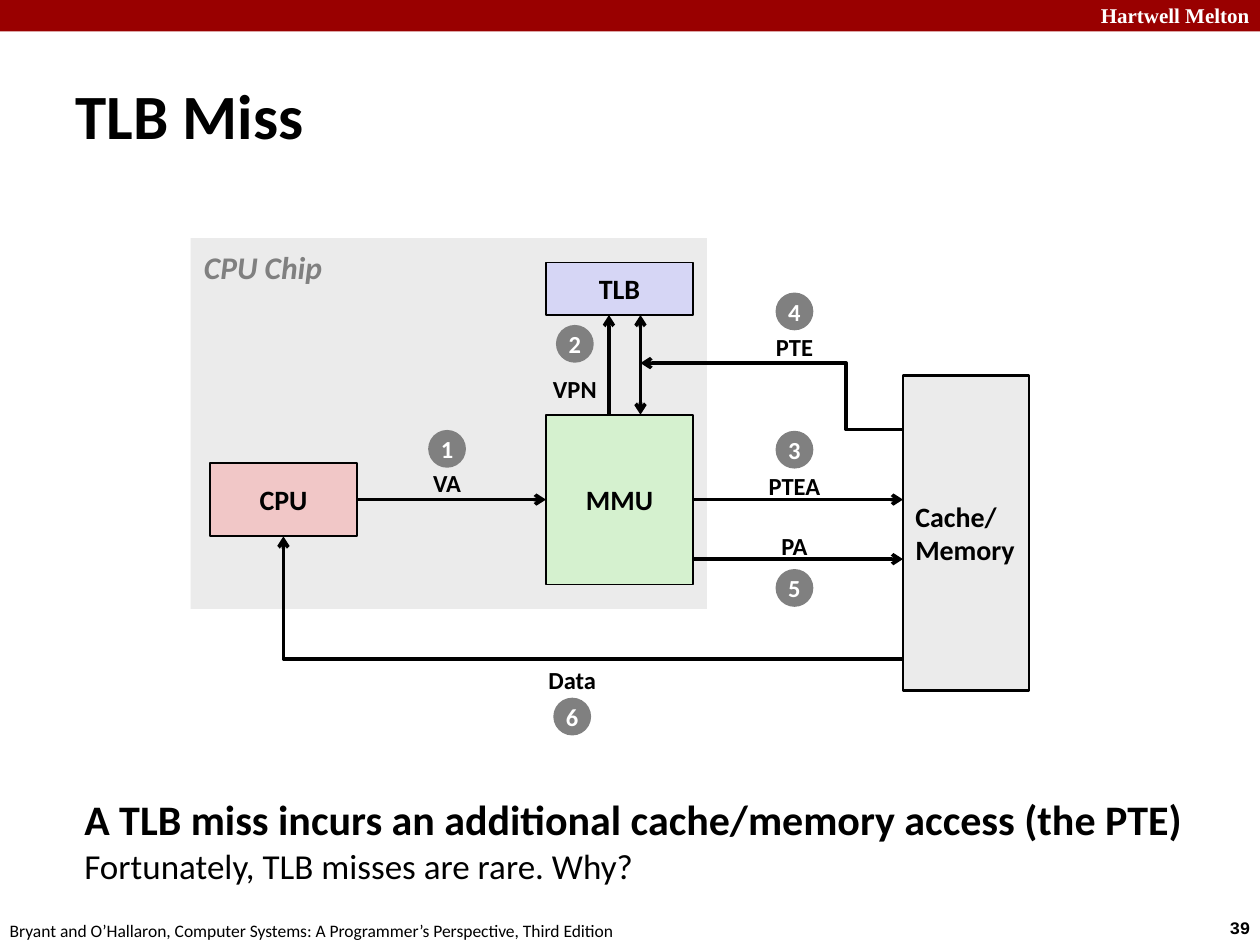
from lxml import etree
from pptx import Presentation
from pptx.dml.color import RGBColor
from pptx.enum.shapes import MSO_CONNECTOR, MSO_SHAPE
from pptx.enum.text import MSO_ANCHOR, MSO_AUTO_SIZE, PP_ALIGN
from pptx.oxml.ns import qn
from pptx.util import Pt

RECT, OVAL = MSO_SHAPE.RECTANGLE, MSO_SHAPE.OVAL
LINE, BENT = MSO_CONNECTOR.STRAIGHT, MSO_CONNECTOR.ELBOW
LEFT, MID = PP_ALIGN.LEFT, PP_ALIGN.CENTER
TOP, CENTER = MSO_ANCHOR.TOP, MSO_ANCHOR.MIDDLE
FIXED = MSO_AUTO_SIZE.NONE

INK = {
    "black": "000000", "white": "FFFFFF", "red": "990000", "gray": "808080",
    "pale": "EBEBEB", "green": "D5F1CF", "pink": "F1C7C7", "blue": "D6D6F5",
}

TITLE = "TLB Miss"
BODY = [
    ("A TLB miss incurs an additional cache/memory access (the PTE)", 24, True),
    ("Fortunately, TLB misses are rare. Why?", 20, False),
]
BAND = (0, 0, 720, 18)
CHIP = (109, 136, 295, 212)
UNITS = {
    "TLB": (312, 150, 84, 30, "blue", 1, MID),
    "MMU": (312, 237, 84, 97, "green", 1, MID),
    "CPU": (120, 264.5, 84, 42, "pink", 1, MID),
    "Cache/\nMemory": (516, 214.5, 72, 180, "pale", 1.5, LEFT),
}
STEPS = [
    ("1", "VA", 255.5, 256.5, 276),
    ("2", "VPN", 328.5, 196.5, 222),
    ("3", "PTEA", 454, 257, 277.5),
    ("4", "PTE", 454, 178, 198),
    ("5", "PA", 454, 336, 312),
    ("6", "Data", 327, 409.5, 388.5),
]
NOTES = [
    ("Hartwell Melton", (622, -2, 103, 21.5),
     dict(size=12, font="Times New Roman", color="white", bold=True)),
    ("39", (695.5, 520.5, 32.5, 19.5),
     dict(size=10, font="Courier New", bold=True)),
    ("Bryant and O’Hallaron, Computer Systems: A Programmer’s Perspective, "
     "Third Edition", (-1.5, 522, 366, 19.5), dict(size=10)),
    ("CPU Chip", (109.5, 138, 83.5, 29),
     dict(size=18, color="gray", bold=True, slant=True)),
]
DOT = 21.6
TAG = (44, 24)


def tint(name):
    return RGBColor.from_string(INK[name])


def write(frame, text, size=14, font="Calibri", color="black", bold=False,
          slant=False, align=LEFT, anchor=TOP, wrap=False):
    frame.word_wrap = wrap
    frame.auto_size = FIXED
    frame.vertical_anchor = anchor
    frame.text = text
    for para in frame.paragraphs:
        para.alignment = align
        para.space_before = Pt(0)
        for run in para.runs:
            face = run.font
            face.name, face.size = font, Pt(size)
            face.bold, face.italic = bold, slant
            face.color.rgb = tint(color)


def block(kind, area, fill, edge=0):
    shape = slide.shapes.add_shape(kind, *map(Pt, area))
    shape.shadow.inherit = False
    shape.fill.solid()
    shape.fill.fore_color.rgb = tint(fill)
    if edge:
        shape.line.color.rgb = tint("black")
        shape.line.width = Pt(edge)
    else:
        shape.line.fill.background()
    return shape


def label(text, area, **form):
    box = slide.shapes.add_textbox(*map(Pt, area))
    write(box.text_frame, text, **form)


def place(holder, area):
    holder.left, holder.top, holder.width, holder.height = map(Pt, area)


def arrow(start, stop, kind=LINE, both=False):
    wire = slide.shapes.add_connector(kind, *map(Pt, start + stop))
    wire.line.color.rgb = tint("black")
    wire.line.width = Pt(2)
    props = wire.line._get_or_add_ln()
    for end in (("headEnd", "tailEnd") if both else ("tailEnd",)):
        etree.SubElement(props, qn("a:" + end), type="arrow")
    etree.SubElement(wire._element.spPr, qn("a:effectLst"))
    return wire._element.spPr.find(qn("a:prstGeom"))


deck = Presentation()
deck.slide_width, deck.slide_height = Pt(720), Pt(540)
slide = deck.slides.add_slide(deck.slide_layouts[1])

block(RECT, BAND, "red")
block(RECT, CHIP, "pale")
for text, area, form in NOTES:
    label(text, area, **form)

place(slide.shapes.title, (36, 34.5, 686, 62))
write(slide.shapes.title.text_frame, TITLE, size=36, bold=True,
      anchor=CENTER, wrap=True)

body = slide.placeholders[1]
place(body, (41, 450, 649.5, 72))
write(body.text_frame, "\n".join(row[0] for row in BODY), wrap=True)
for para, (text, size, bold) in zip(body.text_frame.paragraphs, BODY):
    para.runs[0].font.size = Pt(size)
    para.runs[0].font.bold = bold
    props = para._p.get_or_add_pPr()
    props.set("marL", "0")
    props.set("indent", "0")
    etree.SubElement(props, qn("a:buNone"))

for name, (x, y, w, h, fill, edge, align) in UNITS.items():
    unit = block(RECT, (x, y, w, h), fill, edge)
    write(unit.text_frame, name, size=16, bold=True, align=align, anchor=CENTER)

tlb, mmu, cpu, mem = (area[:4] for area in UNITS.values())
row = cpu[1] + cpu[3] / 2
low = tlb[1] + tlb[3]
right = mmu[0] + mmu[2]
arrow((cpu[0] + cpu[2], row), (mmu[0], row))
arrow((right, row), (mem[0], row))
arrow((right, 319.5), (mem[0], 319.5))
arrow((348, mmu[1]), (348, low))
arrow((366, low), (366, mmu[1]), both=True)

bend = arrow((mem[0], 245.5), (366, 207.5), BENT)
guides = bend.find(qn("a:avLst"))
if guides is None:
    guides = etree.SubElement(bend, qn("a:avLst"))
etree.SubElement(guides, qn("a:gd"), name="adj1", fmla="val 21600")

back = arrow((mem[0], 376.5), (cpu[0] + cpu[2] / 2, cpu[1] + cpu[3]), BENT)
back.set("prst", "bentConnector2")

for digit, text, x, dot, mark in STEPS:
    disc = block(OVAL, (x - DOT / 2, dot - DOT / 2, DOT, DOT), "gray")
    write(disc.text_frame, digit, color="white", bold=True, align=MID,
          anchor=CENTER)
    w, h = TAG
    label(text, (x - w / 2, mark - h / 2, w, h), bold=True, align=MID,
          anchor=CENTER)

deck.save("out.pptx")
